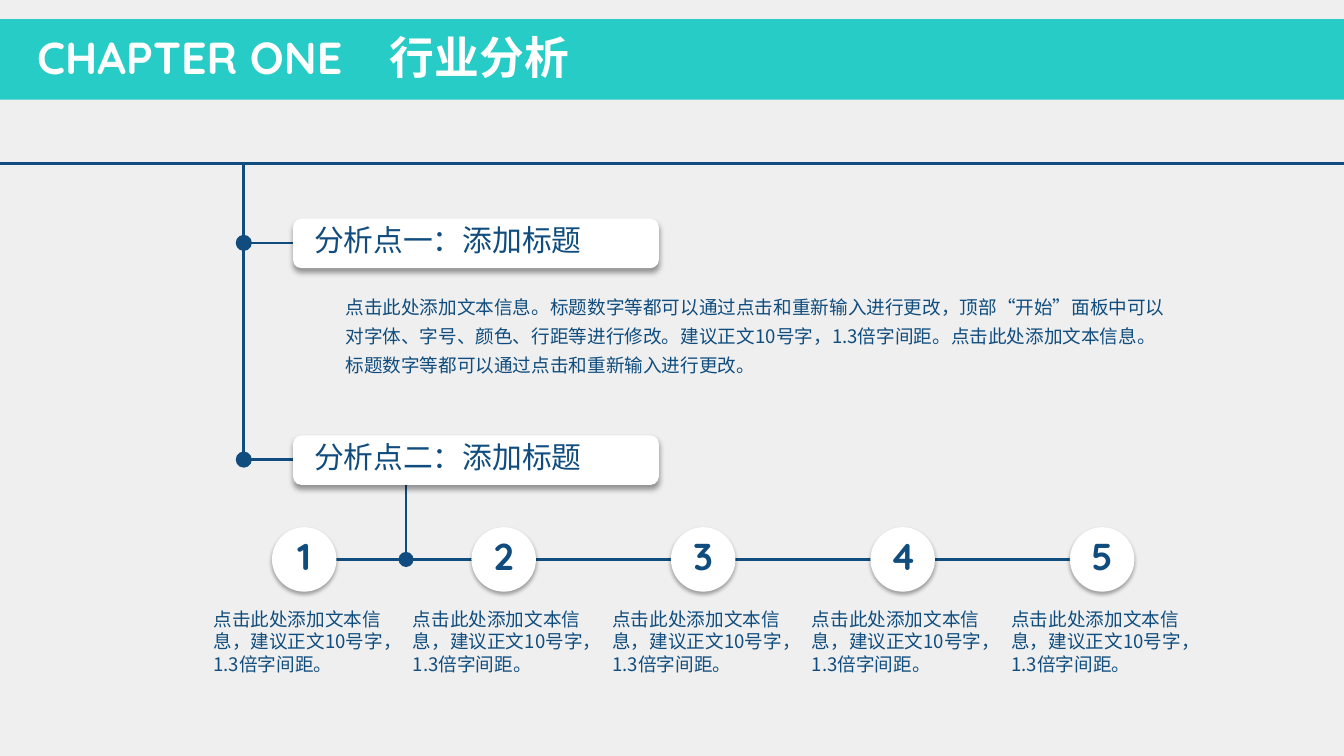
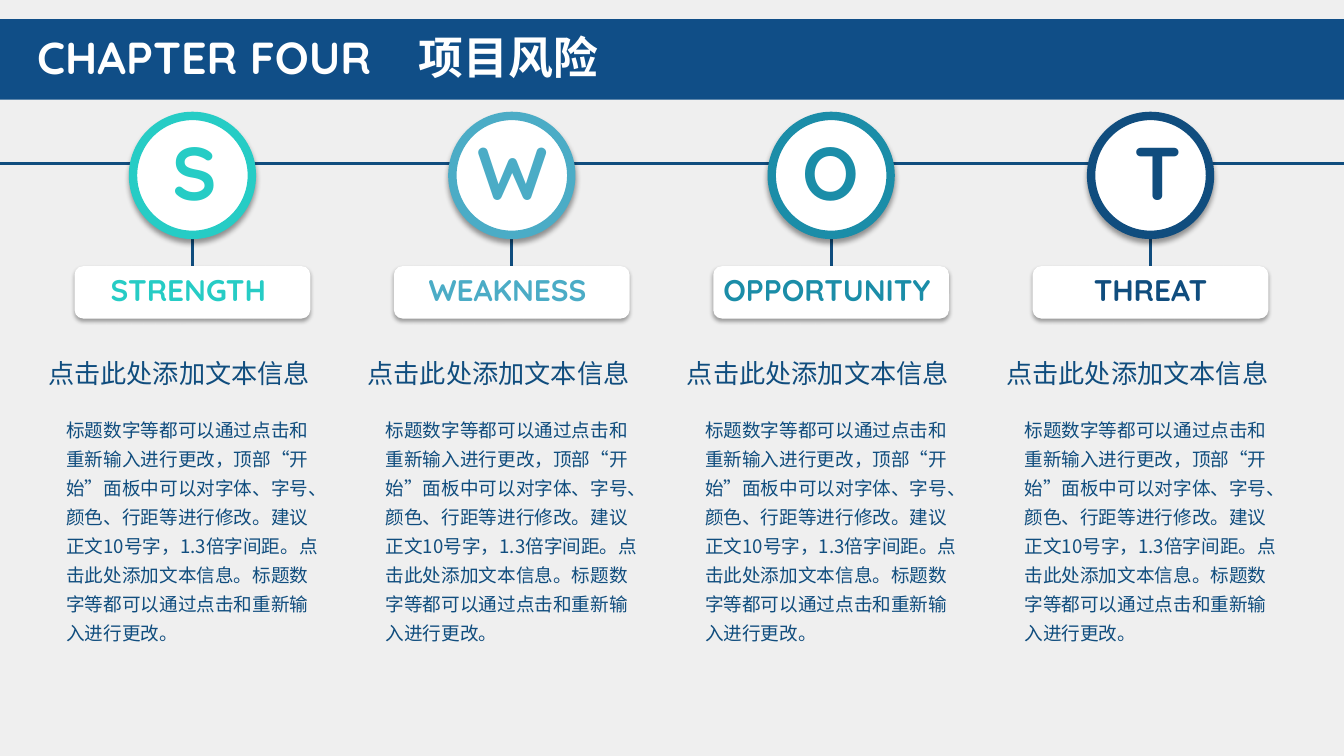
from dataclasses import dataclass

from lxml import etree
from pptx import Presentation
from pptx.dml.color import RGBColor
from pptx.enum.shapes import MSO_CONNECTOR, MSO_SHAPE
from pptx.enum.text import MSO_ANCHOR, MSO_AUTO_SIZE, PP_ALIGN
from pptx.oxml.ns import qn
from pptx.util import Inches, Pt

RECT, ROUND, OVAL = MSO_SHAPE.RECTANGLE, MSO_SHAPE.ROUNDED_RECTANGLE, MSO_SHAPE.OVAL
STRAIGHT = MSO_CONNECTOR.STRAIGHT
LEFT, CENTER = PP_ALIGN.LEFT, PP_ALIGN.CENTER
MIDDLE = MSO_ANCHOR.MIDDLE
FIT = MSO_AUTO_SIZE.SHAPE_TO_FIT_TEXT


@dataclass(frozen=True)
class Theme:
    # Colours
    ground: str = "EFEFEF"
    white: str = "FFFFFF"
    ink: str = "104D7E"
    navy: str = "104E87"
    mint: str = "26CCC5"
    sky: str = "4BACC6"
    teal: str = "1B8DA8"
    # Fonts
    display: str = "Quicksand"
    text: str = "Noto Sans CJK SC"
    # Type sizes
    title: float = 32
    letter: float = 53.3
    number: float = 26.7
    label: float = 21.3
    heading: float = 18.7
    body: float = 13.3
    # Shadows: opacity %, blur, distance
    soft: tuple = (35, 3.1, 1.8)
    deep: tuple = (40, 4, 3)


T = Theme()
SLIDE_W, SLIDE_H = 13.34, 7.5
RULE_Y = 1.62

BODY = ("标题数字等都可以通过点击和重新输入进行更改，顶部“开始”面板中可以对字体、字号、"
        "颜色、行距等进行修改。建议正文10号字，1.3倍字间距。点击此处添加文本信息。"
        "标题数字等都可以通过点击和重新输入进行更改。")
PROMPT = "点击此处添加文本信息"
STEP_NOTE = PROMPT + "，建议正文10号字，1.3倍字间距。"


def rgb(color):
    return RGBColor.from_string(color)


def style(p, size, color=T.ink, font=T.text, bold=False, align=LEFT, spacing=None):
    """Format a paragraph, for Latin and East Asian text alike."""
    p.alignment = align
    if spacing:
        p.line_spacing = spacing
    f = p.font
    f.size, f.bold, f.name = Pt(size), bold, font
    f.color.rgb = rgb(color)
    def_rpr = p._p.get_or_add_pPr().find(qn("a:defRPr"))
    etree.SubElement(def_rpr, qn("a:ea"), typeface=T.text)


def add_text(s, text, x, y, w, h, size, wrap=True, tab=None, **look):
    tf = s.shapes.add_textbox(Inches(x), Inches(y), Inches(w), Inches(h)).text_frame
    tf.word_wrap, tf.auto_size = wrap, FIT
    p = tf.paragraphs[0]
    p.text = text
    if tab:
        tabs = etree.SubElement(p._p.get_or_add_pPr(), qn("a:tabLst"))
        etree.SubElement(tabs, qn("a:tab"), pos=str(Inches(tab)), algn="l")
    style(p, size, **look)


def add_box(s, kind, x, y, w, h, fill, outline=None, shadow=None):
    sp = s.shapes.add_shape(kind, Inches(x), Inches(y), Inches(w), Inches(h))
    sp.fill.solid()
    sp.fill.fore_color.rgb = rgb(fill)
    if outline:
        sp.line.color.rgb, sp.line.width = rgb(outline), Pt(6)
    else:
        sp.line.fill.background()
    sp.shadow.inherit = False
    if shadow:
        opacity, blur, dist = shadow
        effects = sp._element.spPr.find(qn("a:effectLst"))
        outer = etree.SubElement(effects, qn("a:outerShdw"), blurRad=str(Pt(blur)),
                                 dist=str(Pt(dist)), dir="5400000", algn="t", rotWithShape="0")
        color = etree.SubElement(outer, qn("a:srgbClr"), val="000000")
        etree.SubElement(color, qn("a:alpha"), val=str(opacity * 1000))
    return sp


def add_line(s, x1, y1, x2, y2):
    line = s.shapes.add_connector(STRAIGHT, Inches(x1), Inches(y1), Inches(x2), Inches(y2))
    line.line.color.rgb, line.line.width = rgb(T.ink), Pt(2)
    etree.SubElement(line._element.spPr, qn("a:effectLst"))


def add_dot(s, cx, cy, d=0.16):
    add_box(s, OVAL, cx - d / 2, cy - d / 2, d, d, T.ink)


def add_page(prs, chapter, title, tab, band):
    """Slide with the title band and the horizontal rule."""
    s = prs.slides.add_slide(prs.slide_layouts[6])
    add_box(s, RECT, 0, 0.19, SLIDE_W, 0.8, band)
    add_text(s, f"{chapter}\t{title}", 0.27, 0.25, 7.32, 0.64, T.title, tab=tab,
             color=T.white, font=T.display, bold=True)
    add_line(s, 0, RULE_Y, SLIDE_W, RULE_Y)
    return s


def add_point(s, text, y, trunk_x):
    """Titled card joined to the trunk by a dot and a short line."""
    x, mid = 2.91, y + 0.24
    add_line(s, trunk_x, mid, x, mid)
    add_dot(s, trunk_x, mid)
    add_box(s, ROUND, x, y, 3.63, 0.49, T.white, shadow=T.deep)
    add_text(s, text, x + 0.11, y - 0.02, 3.4, 0.46, T.label, font=T.display)


def add_step(s, number, x, cy, d):
    """Numbered circle with a note below."""
    sp = add_box(s, OVAL, x, cy - d / 2, d, d, T.white, shadow=T.soft)
    tf = sp.text_frame
    tf.vertical_anchor = MIDDLE
    p = tf.paragraphs[0]
    p.text = str(number)
    style(p, T.number, font=T.display, bold=True, align=CENTER, spacing=Pt(T.number))
    add_text(s, STEP_NOTE, x - 0.68, 5.98, 1.99, 0.77, T.body, spacing=Pt(16))


def add_factor(s, letter, letter_w, word, color, cx):
    """One SWOT column: ring, label card, heading and body."""
    look = dict(color=color, font=T.display, bold=True, align=CENTER)
    d, card_w, card_y = 1.18, 2.34, 2.64
    add_line(s, cx, 2.27, cx, card_y)
    add_box(s, ROUND, cx - card_w / 2, card_y, card_w, 0.52, T.white, shadow=T.soft)
    add_text(s, word, cx - card_w / 2, card_y + 0.01, card_w, 0.46, T.label, **look)
    add_text(s, PROMPT, cx - 1.53, 3.5, 2.81, 0.42, T.heading, wrap=False)
    add_text(s, BODY, cx - 1.35, 4.04, 2.71, 2.43, T.body, spacing=1.3)
    add_box(s, OVAL, cx - d / 2, 1.15, d, d, T.white, outline=color, shadow=T.deep)
    add_text(s, letter, cx - letter_w / 2, 1.25, letter_w, 0.94, T.letter, wrap=False,
             spacing=Pt(60), **look)


def build_analysis(prs):
    s = add_page(prs, "CHAPTER ONE", "行业分析", 3.5, T.mint)

    # Trunk and the two points
    trunk_x = 2.42
    add_line(s, trunk_x, RULE_Y, trunk_x, 4.56)
    add_point(s, "分析点一：添加标题", 2.17, trunk_x)
    add_text(s, PROMPT + "。" + BODY, 3.33, 2.82, 8.35, 0.98, T.body, spacing=1.3)

    # Branch down to the steps
    branch_x, axis_y = 4.03, 5.55
    add_line(s, branch_x, 4.81, branch_x, axis_y)
    add_point(s, "分析点二：添加标题", 4.32, trunk_x)

    # Five steps on one axis
    first, pitch, d, count = 2.7, 1.98, 0.64, 5
    add_line(s, first + d, axis_y, first + pitch * (count - 1), axis_y)
    add_dot(s, branch_x, axis_y, 0.15)
    for i in range(count):
        add_step(s, i + 1, first + pitch * i, axis_y, d)


def build_swot(prs):
    s = add_page(prs, "CHAPTER FOUR", "项目风险", 3.79, T.navy)
    factors = [
        ("S", 0.59, "STRENGTH ", T.mint),
        ("W", 0.88, "WEAKNESS ", T.sky),
        ("O", 0.83, "OPPORTUNITY ", T.teal),
        ("T", 0.52, "THREAT", T.ink),
    ]
    for i, factor in enumerate(factors):
        add_factor(s, *factor, 1.91 + 3.17 * i)


def main():
    prs = Presentation()
    prs.slide_width, prs.slide_height = Inches(SLIDE_W), Inches(SLIDE_H)
    ground = prs.slide_master.background.fill
    ground.solid()
    ground.fore_color.rgb = rgb(T.ground)
    build_analysis(prs)
    build_swot(prs)
    prs.save("out.pptx")


if __name__ == "__main__":
    main()
